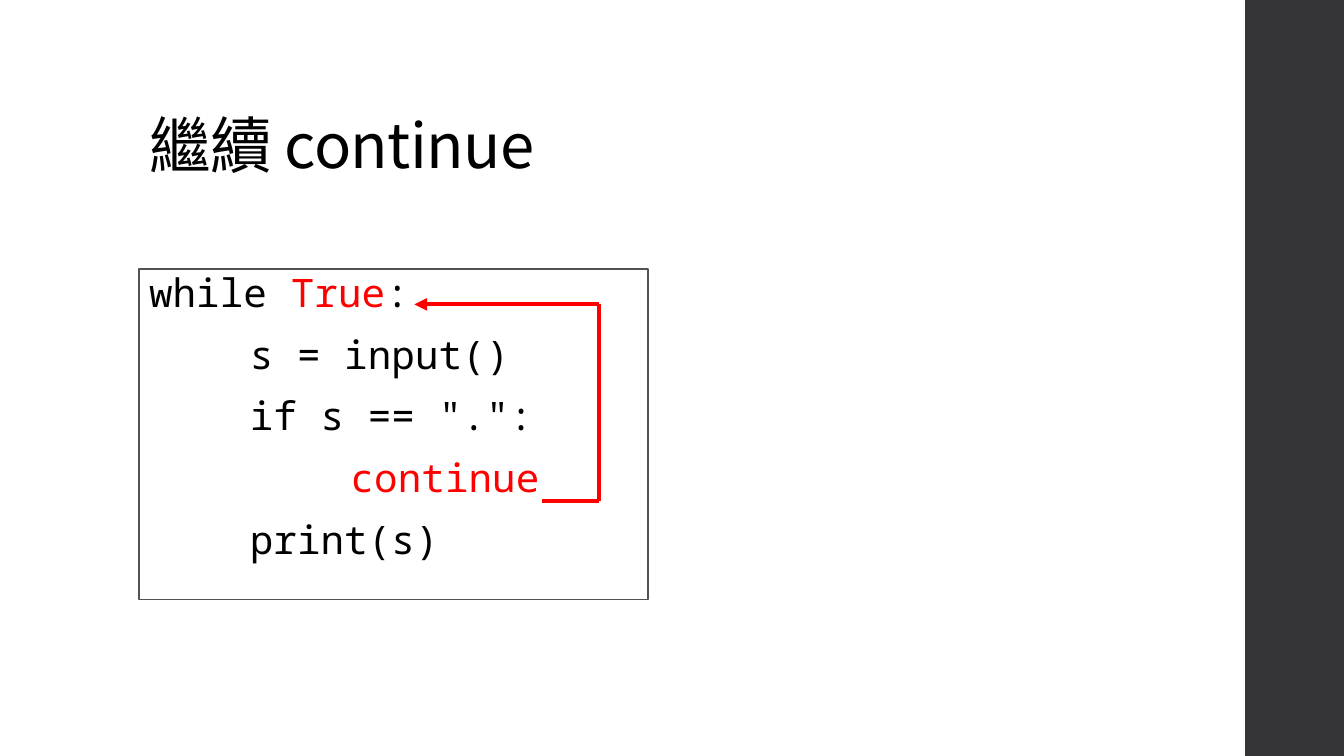
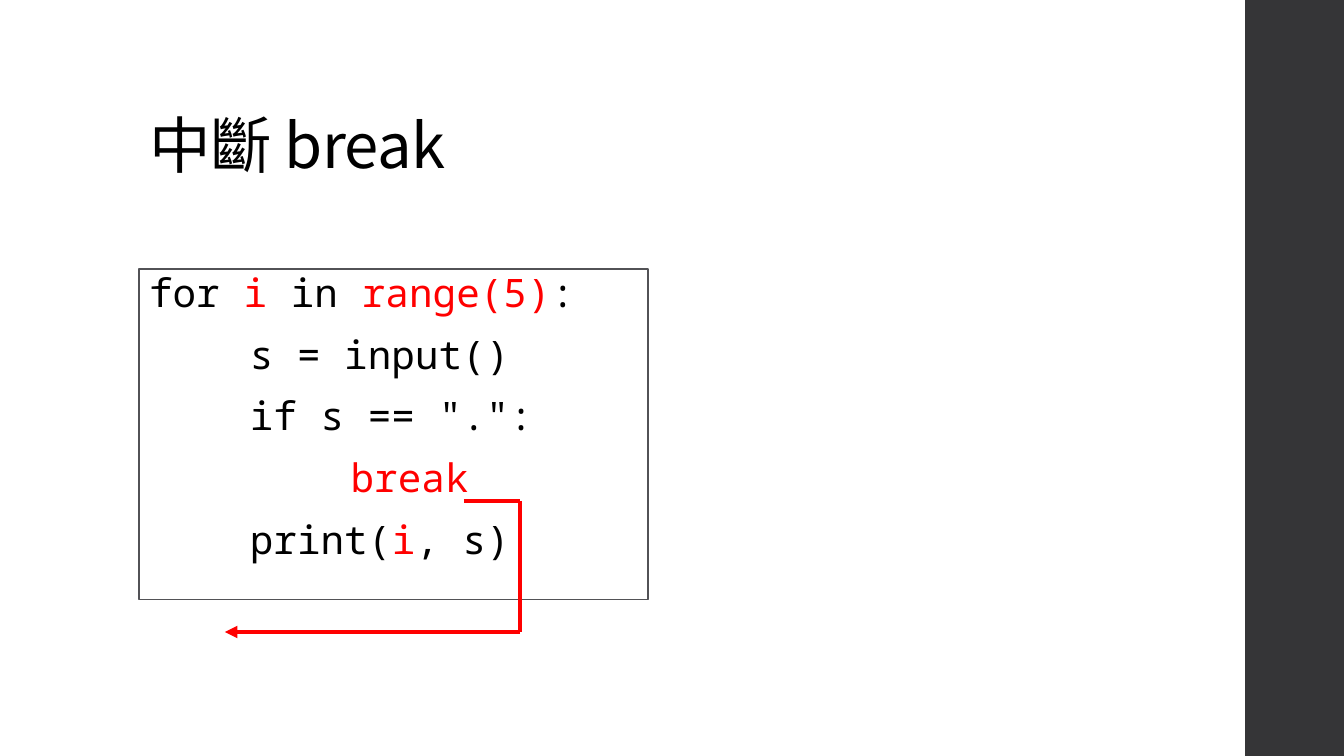
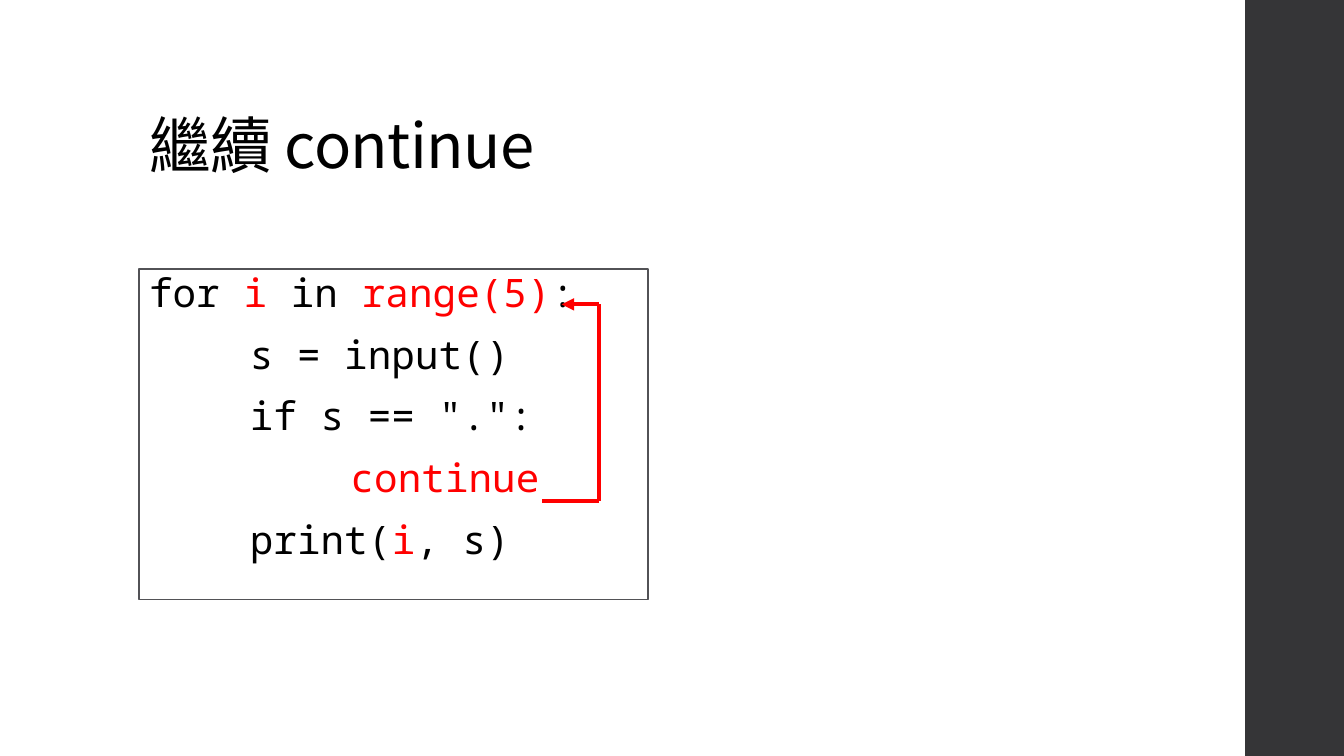
import pptx
import pptx.dml.color
import pptx.enum.shapes
import pptx.enum.text
import pptx.oxml.ns
import pptx.util
from lxml import etree

# Content: each code line is (indent level, pieces), pieces alternate plain and marked
READ_LINE = (1, ["s = input()"])
TEST_LINE = (1, ['if s == ".":'])
WHILE_LINE = (0, ["while ", "True", ":"])
FOR_LINE = (0, ["for ", "i", " in ", "range(5)", ":"])
PRINT_S = (1, ["print(s)"])
PRINT_I_S = (1, ["print(", "i", ", s)"])

# Each jump leaves its keyword at start_x and reaches end_x on the target row
LESSONS = [
    dict(title="繼續 continue", loop=WHILE_LINE, keyword="continue", output=PRINT_S,
         jump=dict(start_x=5.38, end_x=4.11, target_row=0)),
    dict(title="中斷 break", loop=FOR_LINE, keyword="break", output=PRINT_I_S,
         jump=dict(start_x=4.6, end_x=2.23, target_row=5)),
    dict(title="繼續 continue", loop=FOR_LINE, keyword="continue", output=PRINT_I_S,
         jump=dict(start_x=5.38, end_x=5.57, target_row=0)),
]

# Shared style and grid, in inches
COLORS = dict(text="000000", marked="FF0000", frame="525256", band="353537")
TITLE_FONT, CODE_FONT = "Noto Sans CJK JP", "Noto Sans Mono"
WIDTH, HEIGHT = 13.33, 7.5
LEFT = 1.38
BAND_LEFT, BAND_WIDTH = 12.35, 1
FIRST_ROW, ROW_PITCH, KEYWORD_ROW = 3.02, 0.65, 3
JUMP_LANE = 0.56
INDENT = 1

inches = pptx.util.Inches
points = pptx.util.Pt


def rgb(name):
    return pptx.dml.color.RGBColor.from_string(COLORS[name])


def write(paragraph, text, *, font, size, color="text", tracking=0):
    run = paragraph.add_run()
    run.text = text
    run.font.name = font
    run.font.size = points(size)
    run.font.bold = False
    run.font.color.rgb = rgb(color)
    properties = run.font._element
    properties.set("spc", str(round(tracking * 100)))
    east_asian = etree.SubElement(properties, pptx.oxml.ns.qn("a:ea"))
    east_asian.set("typeface", font)


def add_box(slide, left, top, width, height, fill=None, line=None):
    box = slide.shapes.add_shape(pptx.enum.shapes.MSO_SHAPE.RECTANGLE,
                                 *map(inches, (left, top, width, height)))
    box.shadow.inherit = False
    if fill:
        box.fill.solid()
        box.fill.fore_color.rgb = rgb(fill)
    else:
        box.fill.background()
    if line:
        box.line.color.rgb = rgb(line)
        box.line.width = points(1.1)
    else:
        box.line.fill.background()
    return box


def add_title(slide, text):
    title = slide.shapes.title
    title.left, title.top, title.width, title.height = map(inches, (LEFT, 0.4, 10.6, 1.45))
    title.text_frame.vertical_anchor = pptx.enum.text.MSO_ANCHOR.BOTTOM
    title.text_frame.word_wrap = True
    paragraph = title.text_frame.paragraphs[0]
    paragraph.alignment = pptx.enum.text.PP_ALIGN.LEFT
    paragraph.line_spacing = 0.9
    write(paragraph, text, font=TITLE_FONT, size=44, tracking=-0.5)


def add_code(slide, lines):
    frame = slide.shapes.add_textbox(*map(inches, (LEFT, 2, 9.4, 4.76))).text_frame
    frame.word_wrap = True
    frame.margin_top = inches(0.7)
    for row, (level, pieces) in enumerate(lines):
        paragraph = frame.add_paragraph() if row else frame.paragraphs[0]
        paragraph.line_spacing = 0.95
        paragraph.space_before = points(10 if row else 0)
        paragraph.space_after = points(2)
        paragraph._p.get_or_add_pPr().set("marL", str(inches(INDENT * level)))
        for order, piece in enumerate(pieces):
            if piece:
                write(paragraph, piece, font=CODE_FONT, size=28, tracking=0.1,
                      color="marked" if order % 2 else "text")


def add_jump(slide, start_x, end_x, target_row):
    lane_x = start_x + JUMP_LANE
    start_y, end_y = (FIRST_ROW + ROW_PITCH * row for row in (KEYWORD_ROW, target_row))
    corners = [(start_x, start_y), (lane_x, start_y), (lane_x, end_y), (end_x, end_y)]
    for begin, end in zip(corners, corners[1:]):
        segment = slide.shapes.add_connector(pptx.enum.shapes.MSO_CONNECTOR.STRAIGHT,
                                             *map(inches, begin + end))
        segment.line.color.rgb = rgb("marked")
        segment.line.width = points(3)
        etree.SubElement(segment._element.spPr, pptx.oxml.ns.qn("a:effectLst"))
    # The last segment carries the arrowhead
    arrowhead = etree.SubElement(segment.line._get_or_add_ln(), pptx.oxml.ns.qn("a:tailEnd"))
    arrowhead.set("type", "triangle")


deck = pptx.Presentation()
deck.slide_width, deck.slide_height = inches(WIDTH), inches(HEIGHT)
title_only = deck.slide_layouts[5]

for number, lesson in enumerate(LESSONS):
    slide = deck.slides.add_slide(title_only)
    if number == 0:
        # The side band belongs to the master, behind everything
        band = add_box(slide, BAND_LEFT, 0, BAND_WIDTH, HEIGHT, fill="band")
        band._element.nvSpPr.cNvPr.set("id", "20")
        deck.slide_master.shapes._spTree.insert(2, band._element)
    add_title(slide, lesson["title"])
    add_code(slide, [lesson["loop"], READ_LINE, TEST_LINE,
                     (2, ["", lesson["keyword"]]), lesson["output"]])
    add_box(slide, LEFT, 2.67, 5.05, 3.28, line="frame")
    add_jump(slide, **lesson["jump"])

deck.save("out.pptx")
